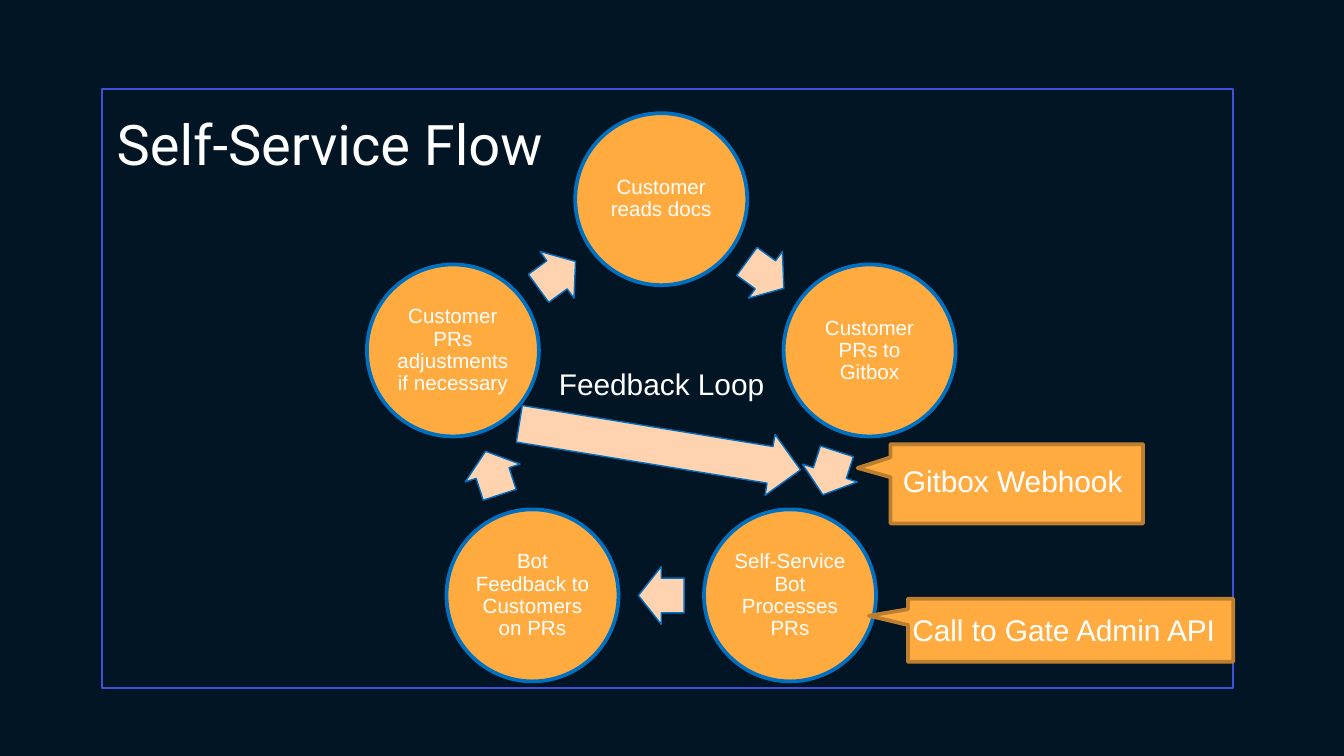
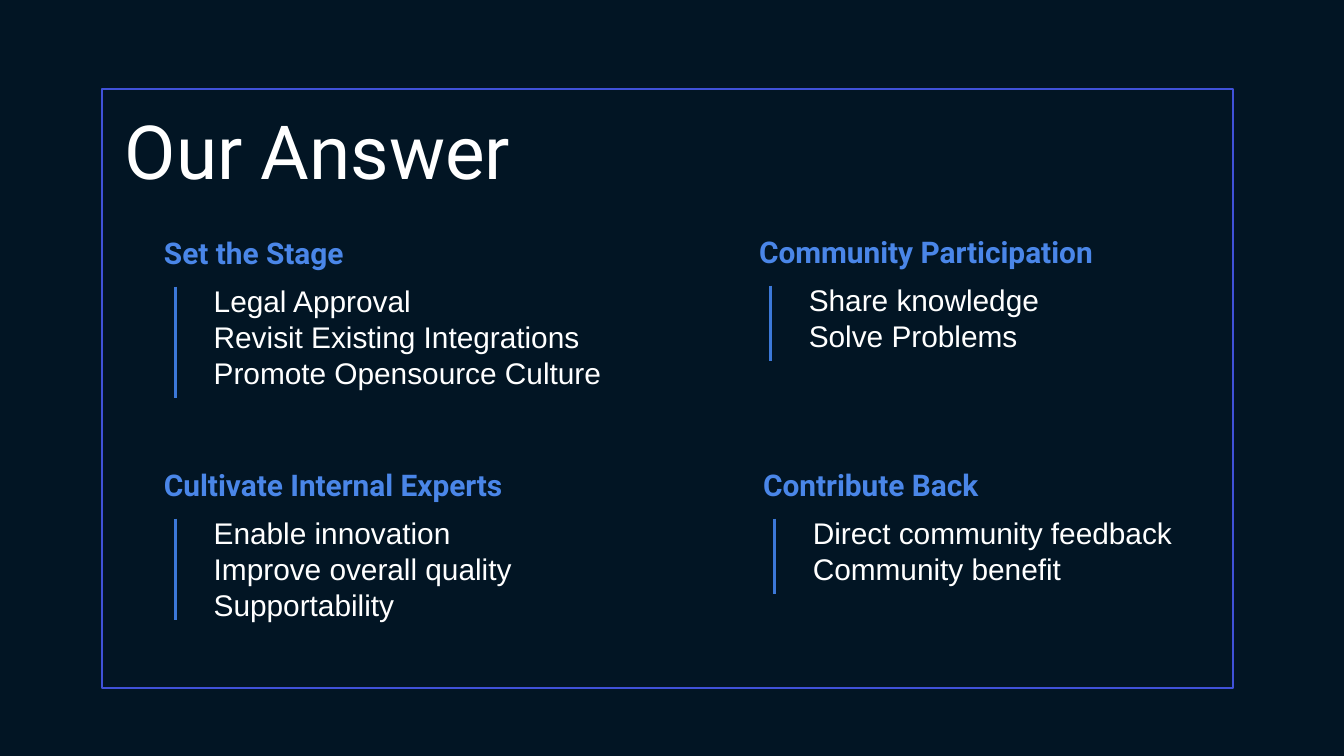
from dataclasses import dataclass
from math import cos, pi, sin

from lxml import etree
from pptx import Presentation
from pptx.dml.color import RGBColor
from pptx.enum.shapes import MSO_CONNECTOR, MSO_SHAPE
from pptx.enum.text import MSO_ANCHOR, PP_ALIGN
from pptx.oxml.ns import qn
from pptx.util import Inches, Pt

RECT, OVAL = MSO_SHAPE.RECTANGLE, MSO_SHAPE.OVAL
ARROW, CALL = MSO_SHAPE.RIGHT_ARROW, MSO_SHAPE.RECTANGULAR_CALLOUT
LINE = MSO_CONNECTOR.STRAIGHT
TOP, MID = MSO_ANCHOR.TOP, MSO_ANCHOR.MIDDLE
LEFT, MIDST = PP_ALIGN.LEFT, PP_ALIGN.CENTER

# Grid: 100 columns by 56.25 rows of square cells
COLS, ROWS, CELL = 100, 56.25, 0.1

NAVY, FRAME, WHITE = "021524", "4051D8", "FFFFFF"
GOLD, BROWN, PEACH, RIM = "FFAB40", "BD7F2F", "FFD2B0", "0070C0"
HEAD, RULE = "4A86E8", "3C78D8"


@dataclass
class Box:
    x: float
    y: float
    w: float
    h: float

    def emu(self) -> list:
        return [cell(v) for v in (self.x, self.y, self.w, self.h)]


@dataclass
class Note:
    box: Box
    tip: tuple


@dataclass
class Panel:
    x: float
    y: float
    rule: float
    head: str
    items: tuple


def cell(n: float) -> int:
    return Inches(n * CELL)


def color(code: str) -> RGBColor:
    return RGBColor.from_string(code)


def mid_box(x: float, y: float, w: float, h: float) -> Box:
    return Box(x - w / 2, y - h / 2, w, h)


def write(shape, *lines: str, size=16, font="Arial", ink=WHITE, bold=False,
          align=LEFT, anchor=TOP, pad=(1, 0.5), space=1.0, wrap=True):
    frame = shape.text_frame
    frame.word_wrap, frame.vertical_anchor = wrap, anchor
    frame.margin_left = frame.margin_right = cell(pad[0])
    frame.margin_top = frame.margin_bottom = cell(pad[1])
    for i, line in enumerate(lines):
        para = frame.add_paragraph() if i else frame.paragraphs[0]
        para.alignment, para.line_spacing = align, space
        run = para.add_run()
        run.text = line
        run.font.size, run.font.name, run.font.bold = Pt(size), font, bold
        run.font.color.rgb = color(ink)


def label(slide, box: Box, *lines: str, **style):
    write(slide.shapes.add_textbox(*box.emu()), *lines, **style)


def draw(slide, kind, box: Box, fill: str, edge: str, width: float,
         turn: float = 0, adj: tuple = ()):
    shape = slide.shapes.add_shape(kind, *box.emu())
    shape.shadow.inherit = False
    shape.fill.solid()
    shape.fill.fore_color.rgb = color(fill)
    shape.line.color.rgb = color(edge)
    shape.line.width = Pt(width)
    shape.rotation = turn
    for i, val in enumerate(adj):
        shape.adjustments[i] = val
    return shape


def arrow(slide, box: Box, turn: float):
    draw(slide, ARROW, box, PEACH, RIM, 0.75, turn, (0.6, 0.5))


def rule(slide, x: float, y: float, length: float):
    line = slide.shapes.add_connector(
        LINE, cell(x), cell(y), cell(x), cell(y + length))
    line.line.color.rgb = color(RULE)
    line.line.width = Pt(1.5)
    etree.SubElement(line.element.spPr, qn("a:effectLst"))


def page(deck, title: str, box: Box, size: int):
    slide = deck.slides.add_slide(deck.slide_layouts[6])
    slide.background.fill.solid()
    slide.background.fill.fore_color.rgb = color(NAVY)
    draw(slide, RECT, Box(7.6, 6.62, 84.15, 44.58), NAVY, FRAME, 0.75)
    label(slide, box, title, size=size, font="Roboto", anchor=MID, pad=(1, 1))
    return slide


# Self-service flow: five steps on a ring
STEPS = (
    "Customer reads docs",
    "Customer PRs to Gitbox",
    "Self-Service Bot Processes PRs",
    "Bot Feedback to Customers on PRs",
    "Customer PRs adjustments if necessary",
)
HUB, RADIUS, DISC = (49.2, 31.12), 16.3, 12.8
NOTES = (
    Note(Box(72.7, 26.6, 5.9, 18.8), (-0.2, 0.63)),
    Note(Box(77.3, 34.8, 4.7, 24.2), (-0.23, 0.62)),
)


def spot(turn: float, reach: float) -> tuple:
    return HUB[0] + reach * sin(turn), HUB[1] - reach * cos(turn)


def flow(deck):
    slide = page(deck, "Self-Service Flow", Box(7.7, 5.5, 67.3, 10.3), 30)
    step = 2 * pi / len(STEPS)
    for i, text in enumerate(STEPS):
        disc = draw(slide, OVAL,
                    mid_box(*spot(i * step, RADIUS), DISC, DISC),
                    GOLD, RIM, 2)
        write(disc, text, size=11, align=MIDST, anchor=MID,
              pad=(0.2, 0.2), space=0.9)
        half = spot((i + 0.5) * step, RADIUS * cos(step / 2))
        arrow(slide, mid_box(*half, 3.4, 4.3), 36 + 72 * i)

    label(slide, Box(40.6, 26.7, 18.2, 3.7), "Feedback Loop")
    # Callouts lie on their side, so their labels stand apart
    for note in NOTES:
        draw(slide, CALL, note.box, GOLD, BROWN, 2, 90, note.tip)
    label(slide, Box(66.2, 33.9, 21.3, 3.7), "Gitbox Webhook")
    arrow(slide, Box(38.5, 30.95, 21.2, 4.6), 9.3)
    label(slide, Box(66.9, 45, 25.4, 3.7), "Call to Gate Admin API",
          wrap=False)


# Our answer: four panels of a heading, a rule and items
PANELS = (
    Panel(11.22, 16.48, 8.3, "Set the Stage",
          ("Legal Approval", "Revisit Existing Integrations",
           "Promote Opensource Culture")),
    Panel(55.5, 16.4, 5.6, "Community Participation",
          ("Share knowledge", "Solve Problems")),
    Panel(11.22, 33.75, 7.5, "Cultivate Internal Experts",
          ("Enable innovation", "Improve overall quality",
           "Supportability")),
    Panel(55.8, 33.75, 5.6, "Contribute Back",
          ("Direct community feedback", "Community benefit")),
)


def answer(deck):
    slide = page(deck, "Our Answer", Box(8.3, 7.6, 75, 7.1), 40)
    for part in PANELS:
        label(slide, Box(part.x, part.y, 30.4, 5.3), part.head,
              font="Roboto", ink=HEAD, bold=True, pad=(1, 1))
        rule(slide, part.x + 1.85, part.y + 4.85, part.rule)
        tall = 1 + 2.7 * len(part.items)
        label(slide, Box(part.x + 3.7, part.y + 4.05, 32.6, tall),
              *part.items)


def main():
    deck = Presentation()
    deck.slide_width, deck.slide_height = cell(COLS), cell(ROWS)
    flow(deck)
    answer(deck)
    deck.save("out.pptx")


if __name__ == "__main__":
    main()
